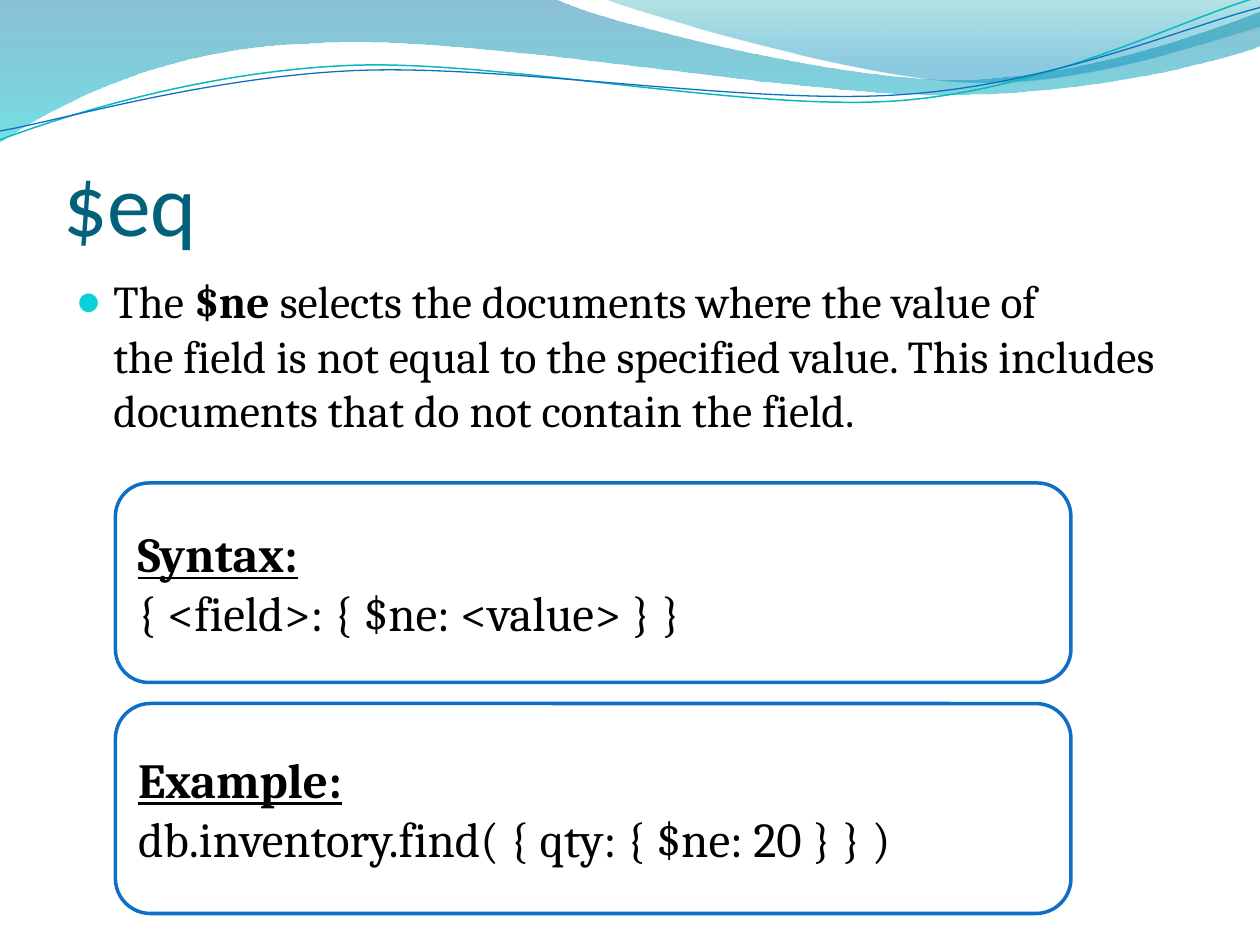
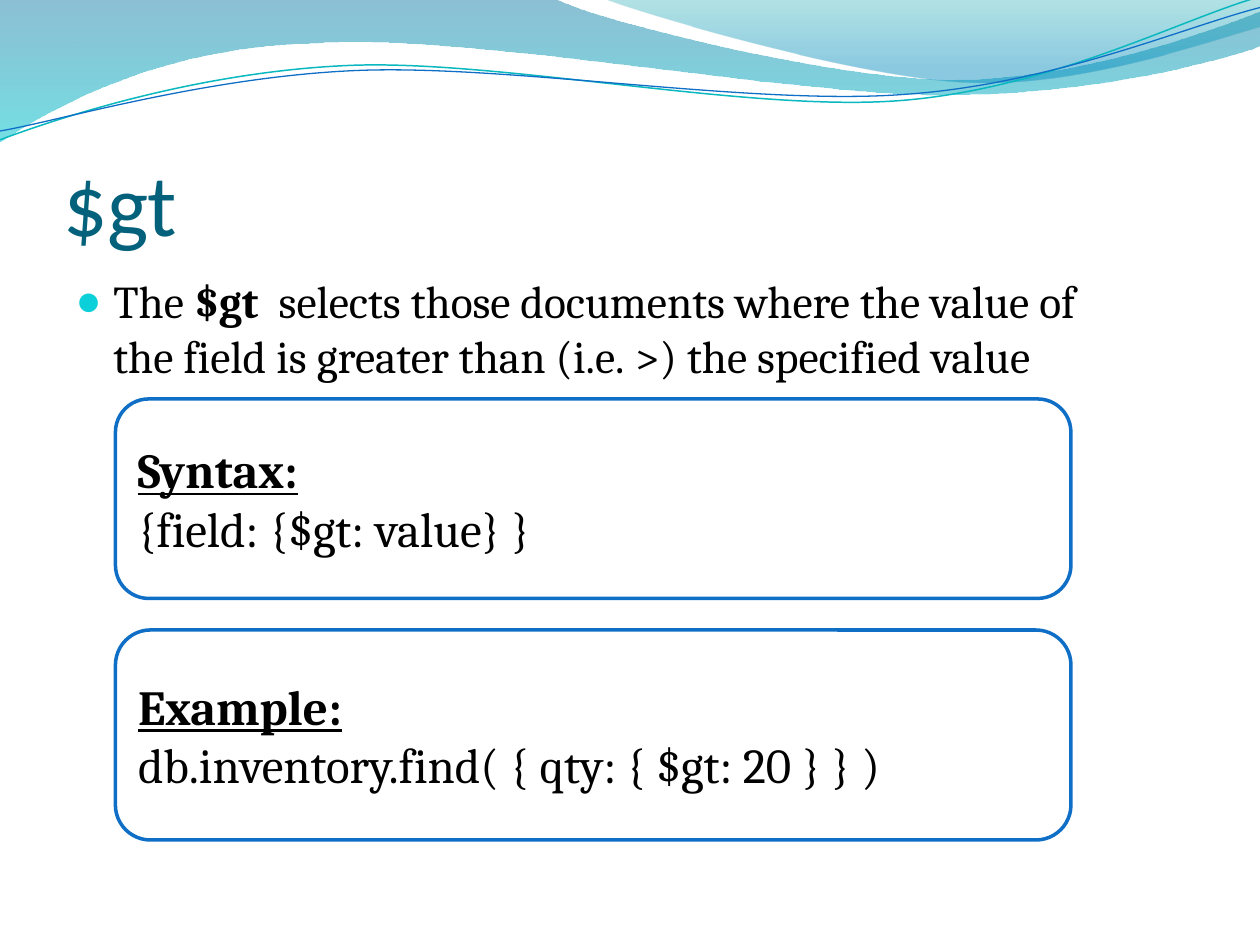
import itertools
from dataclasses import dataclass

import pptx
import pptx.dml.color
import pptx.enum.shapes
import pptx.enum.text
import pptx.oxml
import pptx.oxml.ns
import pptx.util


@dataclass(frozen=True)
class Theme:
    title_font: str = "Calibri"
    body_font: str = "Cambria"
    title_size: float = 50
    body_size: float = 26
    code_size: float = 28
    title: str = "04617B"
    text: str = "000000"
    bullet: str = "0BD0D9"
    panel: str = "FFFFFF"
    outline: str = "0F6FC6"
    outline_width: float = 2


THEME = Theme()
NAMESPACE = pptx.oxml.ns.nsdecls("a")
WIDTH, HEIGHT = pptx.util.Inches(10), pptx.util.Inches(7.5)
COLUMNS, ROWS = 120, 90
WAVE_UNIT = WIDTH / 10

# "~" in the wording stands for a space that does not break
NO_BREAK_SPACE = chr(160)

# Grid boxes: left column, top row, columns wide, rows high
TITLE_BOX = (6, 9.2, 108, 15)
BODY_BOX = (6, 25.4, 108, 57.6)
PANEL_LEFT, PANEL_COLUMNS = 11, 91
SYNTAX_ROWS, EXAMPLE_ROWS = 19, 20

# Each wave starts at a point; two numbers draw a line, six a Bézier curve.
# Bands have gradient stops (position, colour, opacity); lines a colour and width.
WAVE_BANDS = [
    ([(0, 0), (4.4, -0.01), (4.76, 0.17, 6.64, 0.63, 7.58, 0.63),
      (8.53, 0.63, 9.58, 0.26, 10, 0.09), (10.01, 0.36),
      (9.83, 0.44, 8.7, 0.76, 7.46, 0.75), (6.22, 0.75, 3.82, 0.28, 2.57, 0.34),
      (1.29, 0.36, 0.46, 0.83, -0.01, 1.13), (0, 0)],
     [(0, "0074A1", 45), (1, "00C6CF", 55)]),
    ([(4.79, -0.01), (5.09, 0.11, 6.82, 0.62, 7.69, 0.65),
      (8.56, 0.69, 9.61, 0.32, 10, 0.21), (10, 0), (4.79, -0.01)],
     [(0, "00A1A9", 30), (0.8, "008BBF", 45)]),
]
WAVE_LINES = [
    ([(0, 1.11), (0.48, 0.93, 1.58, 0.57, 2.77, 0.52),
      (3.95, 0.47, 5.93, 0.89, 7.13, 0.8), (8.33, 0.71, 9.38, 0.15, 9.98, -0.02)],
     "0AB8BF", 0.85),
    ([(0, 1.04), (0.47, 0.96, 1.64, 0.61, 2.83, 0.56),
      (4.03, 0.51, 5.97, 0.84, 7.17, 0.75), (8.36, 0.67, 9.41, 0.21, 10, 0.06)],
     "0F6FC6", 0.75),
]

OPERATORS = [
    {"title": "$eq",
     "description": [("The~", False), ("$ne", True),
                     ("~selects the documents where the value of the~field~is not equal "
                      "to the specified~value. This includes documents that do not "
                      "contain the~field.", False)],
     "syntax": "{ <field>: { $ne: <value> } }", "syntax_top": 46,
     "example": "db.inventory.find( { qty: { $ne: 20 } } )", "example_top": 67},
    {"title": "$gt",
     "description": [("The~", False), ("$gt", True),
                     ("~ selects those documents where the value of the~field~is greater "
                      "than (i.e.~>) the specified~value", False)],
     "syntax": "{field:~{$gt:~value}~}", "syntax_top": 38,
     "example": "db.inventory.find( { qty: { $gt: 20 } } )", "example_top": 60},
]


def rgb(color):
    return pptx.dml.color.RGBColor.from_string(color)


def set_attributes(target, values):
    for name, value in values.items():
        setattr(target, name, value)


def place(shape, box):
    """Move a shape to a box given in grid columns and rows."""
    left, top, columns, rows = box
    set_attributes(shape, {
        "left": round(left * WIDTH / COLUMNS), "top": round(top * HEIGHT / ROWS),
        "width": round(columns * WIDTH / COLUMNS), "height": round(rows * HEIGHT / ROWS)})


def add_run(paragraph, text, font, size, color, **values):
    run = paragraph.add_run()
    run.text = text.replace("~", NO_BREAK_SPACE)
    set_attributes(run.font, {"name": font, "size": pptx.util.Pt(size), **values})
    run.font.color.rgb = rgb(color)


def bend(line, curve, left, top):
    """Replace a line of a freeform by a Bézier curve."""
    points = "".join(
        f'<a:pt x="{round(x * WAVE_UNIT - left)}" y="{round(y * WAVE_UNIT - top)}"/>'
        for x, y in zip(curve[::2], curve[1::2]))
    line.getparent().replace(line, pptx.oxml.parse_xml(
        f"<a:cubicBezTo {NAMESPACE}>{points}</a:cubicBezTo>"))


def add_wave(slide, segments, close):
    start, *others = [tuple(round(value * WAVE_UNIT) for value in segment[-2:])
                      for segment in segments]
    builder = slide.shapes.build_freeform(*start)
    builder.add_line_segments(others, close=close)
    wave = builder.convert_to_shape()
    wave.shadow.inherit = False
    lines = list(wave.element.iter(pptx.oxml.ns.qn("a:lnTo")))
    for line, segment in zip(lines, segments[1:]):
        if len(segment) == 6:
            bend(line, segment, wave.left, wave.top)
    return wave


def add_wave_band(slide, segments, stops):
    band = add_wave(slide, segments, close=True)
    band.line.fill.background()
    band.fill.gradient()
    band.fill.gradient_angle = 270
    for stop, (position, color, _) in zip(band.fill.gradient_stops, stops):
        stop.position = position
        stop.color.rgb = rgb(color)
    colors = band.element.spPr.iter(pptx.oxml.ns.qn("a:srgbClr"))
    for color_element, (_, _, opacity) in zip(colors, stops):
        color_element.append(pptx.oxml.parse_xml(
            f'<a:alpha {NAMESPACE} val="{opacity * 1000}"/>'))
    return band


def add_wave_line(slide, segments, color, width):
    line = add_wave(slide, segments, close=False)
    line.fill.background()
    line.line.color.rgb = rgb(color)
    line.line.width = pptx.util.Pt(width)
    return line


def move_waves_to_layout(slide):
    """Draw the waves with the slide's builder, then hand them to its layout."""
    waves = [add_wave_band(slide, *band) for band in WAVE_BANDS]
    waves += [add_wave_line(slide, *line) for line in WAVE_LINES]
    for position, wave in zip(itertools.count(2), waves):
        slide.slide_layout.shapes.element.insert(position, wave.element)


def fill_title(shape, box, text):
    place(shape, box)
    set_attributes(shape.text_frame, {
        "margin_left": 0, "margin_right": 0, "margin_bottom": 0,
        "margin_top": pptx.util.Inches(0.05), "word_wrap": True,
        "vertical_anchor": pptx.enum.text.MSO_ANCHOR.BOTTOM,
        "auto_size": pptx.enum.text.MSO_AUTO_SIZE.NONE})
    paragraph = shape.text_frame.paragraphs[0]
    paragraph.alignment = pptx.enum.text.PP_ALIGN.LEFT
    add_run(paragraph, text, THEME.title_font, THEME.title_size, THEME.title)


def set_bullet(paragraph):
    properties = paragraph._p.get_or_add_pPr()
    indent = pptx.util.Inches(0.3)
    properties.set("marL", str(indent))
    properties.set("indent", str(-indent))
    for xml in (f'<a:buClr {NAMESPACE}><a:srgbClr val="{THEME.bullet}"/></a:buClr>',
                f'<a:buSzPct {NAMESPACE} val="95000"/>',
                f'<a:buChar {NAMESPACE} char="●"/>'):
        properties.append(pptx.oxml.parse_xml(xml))


def fill_description(shape, box, pieces):
    place(shape, box)
    shape.text_frame.auto_size = pptx.enum.text.MSO_AUTO_SIZE.NONE
    paragraph = shape.text_frame.paragraphs[0]
    paragraph.space_before = pptx.util.Pt(0.2 * THEME.body_size)
    set_bullet(paragraph)
    for text, bold in pieces:
        add_run(paragraph, text, THEME.body_font, THEME.body_size, THEME.text, bold=bold)


def add_code_panel(slide, box, heading, code):
    panel = slide.shapes.add_shape(
        pptx.enum.shapes.MSO_SHAPE.ROUNDED_RECTANGLE, 0, 0, 0, 0)
    place(panel, box)
    panel.shadow.inherit = False
    panel.fill.solid()
    panel.fill.fore_color.rgb = rgb(THEME.panel)
    panel.line.color.rgb = rgb(THEME.outline)
    panel.line.width = pptx.util.Pt(THEME.outline_width)
    frame = panel.text_frame
    set_attributes(frame, {"word_wrap": True,
                           "vertical_anchor": pptx.enum.text.MSO_ANCHOR.MIDDLE})
    lines = [(frame.paragraphs[0], heading, True), (frame.add_paragraph(), code, False)]
    for paragraph, text, is_heading in lines:
        paragraph.alignment = pptx.enum.text.PP_ALIGN.LEFT
        add_run(paragraph, text, THEME.body_font, THEME.code_size, THEME.text,
                bold=is_heading, underline=is_heading)


def add_operator_slide(presentation, layout, operator):
    slide = presentation.slides.add_slide(layout)
    fill_title(slide.shapes.title, TITLE_BOX, operator["title"])
    fill_description(slide.placeholders[1], BODY_BOX, operator["description"])
    for key, rows in (("syntax", SYNTAX_ROWS), ("example", EXAMPLE_ROWS)):
        box = (PANEL_LEFT, operator[f"{key}_top"], PANEL_COLUMNS, rows)
        add_code_panel(slide, box, f"{key.title()}:", operator[key])
    return slide


def main():
    presentation = pptx.Presentation()
    set_attributes(presentation, {"slide_width": WIDTH, "slide_height": HEIGHT})
    layout = presentation.slide_layouts[1]
    slides = [add_operator_slide(presentation, layout, operator) for operator in OPERATORS]
    move_waves_to_layout(slides[0])
    presentation.save("out.pptx")


if __name__ == "__main__":
    main()
